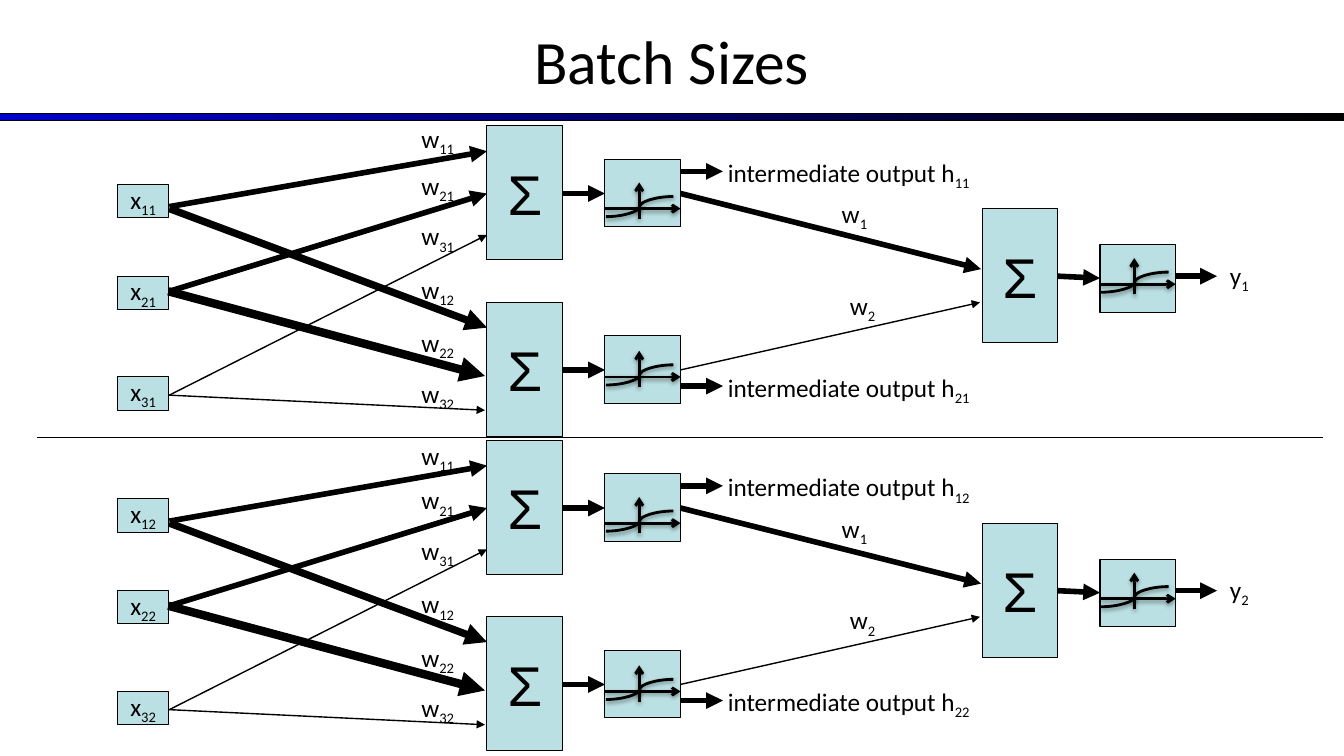
import pptx
import pptx.dml.color
import pptx.enum.shapes
import pptx.enum.text
import pptx.oxml
import pptx.oxml.ns
import pptx.util

Inches = pptx.util.Inches
Anchor = pptx.enum.text.MSO_ANCHOR
Align = pptx.enum.text.PP_ALIGN
Connector = pptx.enum.shapes.MSO_CONNECTOR

BLACK, PALE_BLUE = "000000", "BBE0E3"
BOX_WIDTH, NEURON_HEIGHT, ACTIVATION_HEIGHT = 0.75, 1.33, 0.67
SHADOW = (
    '<a:outerShdw blurRad="39370" dist="20320" dir="5400000" rotWithShape="0">'
    '<a:srgbClr val="000000"><a:alpha val="38000"/></a:srgbClr></a:outerShdw>'
)


def color(value):
    return pptx.dml.color.RGBColor.from_string(value)


def write(shape, text, subscript="", size=18, font="Calibri", align=Align.LEFT,
          anchor=Anchor.TOP, wrap=True):
    frame = shape.text_frame
    frame.word_wrap = wrap
    frame.vertical_anchor = anchor
    paragraph = frame.paragraphs[0]
    paragraph.text = text
    paragraph.alignment = align
    if subscript:
        run = paragraph.add_run()
        run.text = subscript
        run._r.get_or_add_rPr().set("baseline", "-25000")
    for run in paragraph.runs:
        run.font.size = pptx.util.Pt(size)
        run.font.name = font
        run.font.color.rgb = color(BLACK)


def add_label(slide, left, top, width, text, subscript):
    shape = slide.shapes.add_textbox(Inches(left), Inches(top), Inches(width), Inches(0.44))
    write(shape, text, subscript)


def add_box(slide, left, top, width, height):
    shape = slide.shapes.add_shape(
        pptx.enum.shapes.MSO_SHAPE.RECTANGLE,
        Inches(left), Inches(top), Inches(width), Inches(height))
    shape.shadow.inherit = False
    shape.fill.solid()
    shape.fill.fore_color.rgb = color(PALE_BLUE)
    shape.line.color.rgb = color(BLACK)
    shape.line.width = pptx.util.Pt(0.75)
    return shape


def add_line(slide, start, end, width=4, head="triangle", kind=Connector.STRAIGHT, effect=""):
    line = slide.shapes.add_connector(kind, *(Inches(value) for value in (*start, *end)))
    line.line.color.rgb = color(BLACK)
    line.line.width = pptx.util.Pt(width)
    namespace = pptx.oxml.ns.nsdecls("a")
    if head:
        line.line._get_or_add_ln().append(
            pptx.oxml.parse_xml(f'<a:tailEnd {namespace} type="{head}"/>'))
    line._element.spPr.append(
        pptx.oxml.parse_xml(f"<a:effectLst {namespace}>{effect}</a:effectLst>"))


def add_neuron(slide, left, top):
    write(add_box(slide, left, top, BOX_WIDTH, NEURON_HEIGHT), "Σ", size=40, font="Arial",
          align=Align.CENTER, anchor=Anchor.MIDDLE, wrap=False)


def add_activation(slide, left, top, axis_offset):
    add_box(slide, left, top, BOX_WIDTH, ACTIVATION_HEIGHT)
    axis = top + axis_offset
    for start, end, head, kind in (
        ((0, 0), (0.75, 0), "arrow", Connector.STRAIGHT),
        ((0.34, 0.1), (0.34, -0.26), "arrow", Connector.STRAIGHT),
        ((0.01, 0.08), (0.68, -0.12), None, Connector.CURVE),
    ):
        add_line(slide, (left + start[0], axis + start[1]), (left + end[0], axis + end[1]),
                 2, head, kind, SHADOW)


def add_header(slide, width):
    # Title
    title = slide.shapes.add_textbox(0, Inches(-0.03), Inches(width), Inches(1.25))
    write(title, "Batch Sizes", size=44, align=Align.CENTER, anchor=Anchor.MIDDLE)

    # Gradient rule
    rule = add_box(slide, 0, 1.13, width, 0.07)
    rule.fill.gradient()
    rule.fill.gradient_angle = 0
    for stop, position, value in zip(rule.fill.gradient_stops, (0, 1), ("0000CC", BLACK)):
        stop.position = position
        stop.color.rgb = color(value)


def add_network(slide, left, top, sample, first_label):
    def at(x, y):
        return left + x, top + y

    # Inputs
    for number, y in enumerate((0.58, 1.49, 2.49), 1):
        write(add_box(slide, *at(0, y), 0.5, 0.33), "x", f"{number}{sample}",
              align=Align.CENTER, anchor=Anchor.MIDDLE, wrap=False)

    # Hidden layer
    for number, y in enumerate((0, 1.75), 1):
        add_neuron(slide, *at(3.66, y))
        add_line(slide, at(4.41, y + 0.67), at(4.83, y + 0.67))
        add_activation(slide, *at(4.83, y + 0.33), (0.49, 0.41)[number - 1])
        output_y = (0.45, 2.58)[number - 1]
        add_line(slide, at(5.58, output_y), at(6, output_y))
        add_label(slide, *at(5.95, output_y - 0.19), 2.67,
                  "intermediate output h", f"{number}{sample}")

    # Weights into the hidden layer
    for name, start, end, width, label_y in (
        ("11", (0.51, 0.8), (3.66, 0.25), 4, first_label),
        ("21", (0.51, 1.64), (3.66, 0.67), 4, 0.39),
        ("31", (0.51, 2.67), (3.66, 1.08), 1, 0.89),
        ("12", (0.51, 0.82), (3.66, 2), 5.25, 1.42),
        ("22", (0.5, 1.64), (3.64, 2.48), 6, 1.95),
        ("32", (0.5, 2.67), (3.64, 2.82), 1, 2.45),
    ):
        add_line(slide, at(*start), at(*end), width)
        add_label(slide, *at(2.91, label_y), 0.58, "w", name)

    # Weights into the output neuron
    for name, start, end, width, label in (
        ("1", (5.58, 0.67), (8.56, 1.42), 4, (7.08, 0.67)),
        ("2", (5.58, 2.42), (8.55, 1.75), 1, (7.16, 1.58)),
    ):
        add_line(slide, at(*start), at(*end), width)
        add_label(slide, *at(*label), 0.58, "w", name)

    # Output neuron
    add_neuron(slide, *at(8.57, 0.82))
    add_line(slide, at(9.32, 1.49), at(9.74, 1.51))
    add_activation(slide, *at(9.74, 1.18), 0.39)
    add_line(slide, at(10.49, 1.49), at(10.9, 1.49))
    add_label(slide, *at(10.93, 1.28), 0.92, "y", str(sample))


def main():
    presentation = pptx.Presentation()
    presentation.slide_width = Inches(13.33)
    presentation.slide_height = Inches(7.5)
    slide = presentation.slides.add_slide(presentation.slide_layouts[6])

    add_header(slide, 13.33)
    add_network(slide, 1.17, 1.25, sample=1, first_label=-0.08)
    add_network(slide, 1.17, 4.37, sample=2, first_label=-0.05)
    # Divider between the two samples
    add_line(slide, (0.37, 4.34), (13.12, 4.34), 0.75, head=None)

    presentation.save("out.pptx")


if __name__ == "__main__":
    main()
